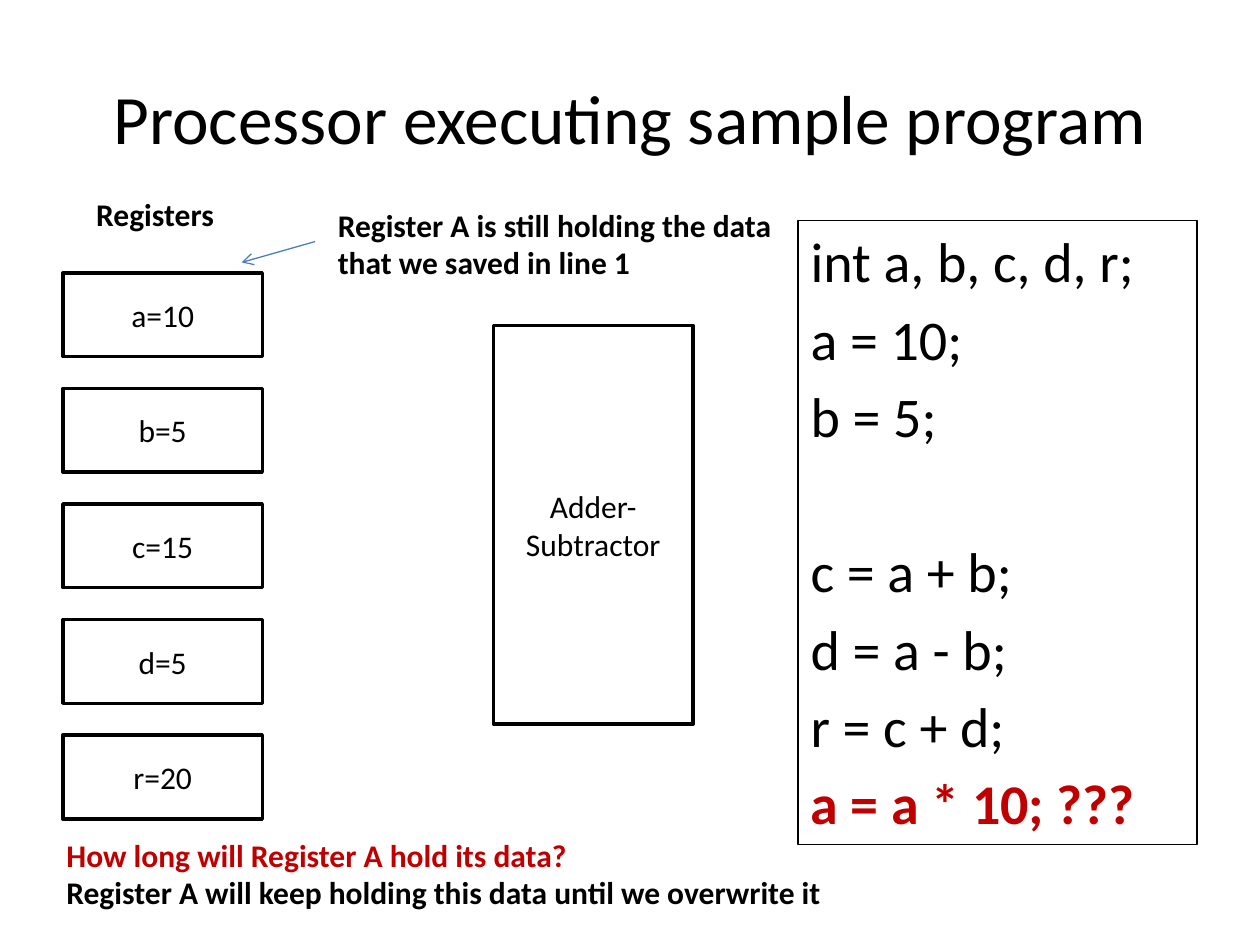
from typing import NamedTuple

from lxml import etree
from pptx import Presentation
from pptx import util as u
from pptx.dml.color import RGBColor
from pptx.enum import shapes, text
from pptx.oxml import ns
from pptx.util import Cm

BLACK = RGBColor(0x00, 0x00, 0x00)
RED = RGBColor(0xC0, 0x00, 0x00)
BLUE = RGBColor(0x4B, 0x7E, 0xBC)
FONT = "Calibri"
CENTER = text.PP_ALIGN.CENTER
LEFT = text.PP_ALIGN.LEFT


class Area(NamedTuple):
    left: float
    top: float
    width: float
    height: float

    def lengths(self) -> list[Cm]:
        return [Cm(value) for value in self]


class Line(NamedTuple):
    words: str
    color: RGBColor = BLACK
    bold: bool = False
    before: float = 0


def write(frame, lines: list[Line], size: float, align=LEFT) -> None:
    frame.text = "\n".join(line.words for line in lines)
    for paragraph, line in zip(frame.paragraphs, lines):
        paragraph.alignment = align
        paragraph.space_before = u.Pt(line.before)
        for run in paragraph.runs:
            run.font.name = FONT
            run.font.size = u.Pt(size)
            run.font.bold = line.bold
            run.font.color.rgb = line.color


def add_box(slide, area: Area, lines: list[Line], size: float = 18,
            border: float = 2, align=CENTER,
            anchor=text.MSO_ANCHOR.MIDDLE) -> None:
    """Draw an unfilled, outlined rectangle with text."""
    box = slide.shapes.add_shape(shapes.MSO_SHAPE.RECTANGLE, *area.lengths())
    box.shadow.inherit = False
    box.fill.background()
    box.line.color.rgb = BLACK
    box.line.width = u.Pt(border)
    box.text_frame.word_wrap = True
    box.text_frame.vertical_anchor = anchor
    write(box.text_frame, lines, size, align)


def add_note(slide, area: Area, lines: list[Line]) -> None:
    """Place an unwrapped label that grows with its text."""
    frame = slide.shapes.add_textbox(*area.lengths()).text_frame
    frame.word_wrap = False
    frame.auto_size = text.MSO_AUTO_SIZE.SHAPE_TO_FIT_TEXT
    write(frame, lines, 18)


def add_title(slide, area: Area, words: str) -> None:
    frame = slide.shapes.add_textbox(*area.lengths()).text_frame
    frame.word_wrap = True
    frame.vertical_anchor = text.MSO_ANCHOR.MIDDLE
    write(frame, [Line(words)], 39.6, CENTER)


def add_arrow(slide, x1: float, y1: float, x2: float, y2: float) -> None:
    arrow = slide.shapes.add_connector(
        shapes.MSO_CONNECTOR.STRAIGHT, Cm(x1), Cm(y1), Cm(x2), Cm(y2))
    arrow.line.color.rgb = BLUE
    arrow.line.width = u.Pt(0.75)
    etree.SubElement(arrow.line._get_or_add_ln(), ns.qn("a:tailEnd"), type="arrow")
    etree.SubElement(arrow._element.spPr, ns.qn("a:effectLst"))


REGISTERS = ["a=10", "b=5", "c=15", "d=5", "r=20"]
FIRST_REGISTER = Area(1.27, 5.5, 4.02, 1.69)
REGISTER_PITCH = 2.33

CODE_GAP = 5.7
BLOCK_GAP = 50.5
PROGRAM = [
    Line("int a, b, c, d, r;"),
    Line("a = 10;", before=CODE_GAP),
    Line("b = 5;", before=CODE_GAP),
    Line("c = a + b;", before=BLOCK_GAP),
    Line("d = a - b;", before=CODE_GAP),
    Line("r = c + d;", before=CODE_GAP),
    Line("a = a * 10; ???", RED, True, CODE_GAP),
]


def main() -> None:
    deck = Presentation()
    deck.slide_width, deck.slide_height = Cm(25.4), Cm(19.05)
    slide = deck.slides.add_slide(deck.slide_layouts[6])

    add_title(slide, Area(1.27, 0.76, 22.86, 3.18), "Processor executing sample program")
    for index, register in enumerate(REGISTERS):
        top = FIRST_REGISTER.top + index * REGISTER_PITCH
        add_box(slide, FIRST_REGISTER._replace(top=top), [Line(register)])
    add_box(slide, Area(9.95, 6.56, 4.02, 8.04), [Line("Adder-Subtractor")])
    add_box(slide, Area(16.09, 4.45, 8.04, 12.57), PROGRAM, size=32,
            border=0.75, align=LEFT, anchor=text.MSO_ANCHOR.TOP)

    add_arrow(slide, 6.35, 4.87, 4.87, 5.29)
    add_note(slide, Area(6.56, 4.02, 9.32, 1.8), [
        Line("Register A is still holding the data", bold=True),
        Line("that we saved in line 1", bold=True),
    ])
    add_note(slide, Area(1.69, 3.81, 2.9, 1.03), [Line("Registers", bold=True)])
    add_note(slide, Area(1.09, 16.72, 15.85, 1.8), [
        Line("How long will Register A hold its data?", RED, True),
        Line("Register A will keep holding this data until we overwrite it", bold=True),
    ])
    deck.save("out.pptx")


if __name__ == "__main__":
    main()
